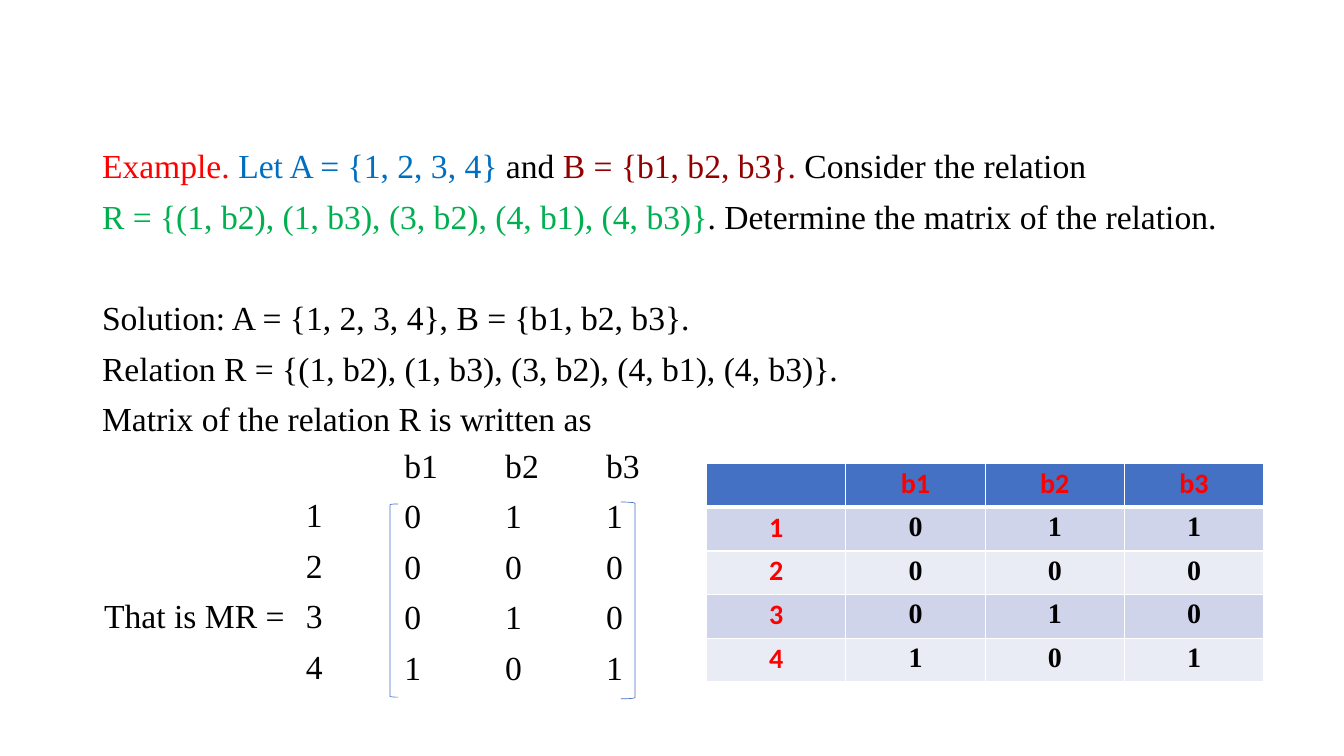
from lxml import etree
from pptx import Presentation
from pptx import util as u
from pptx.dml.color import RGBColor
from pptx.enum import shapes, text
from pptx.oxml import ns

BLACK = RGBColor(0, 0, 0)
WHITE = RGBColor(0xFF, 0xFF, 0xFF)
RED = RGBColor(0xFF, 0, 0)
BLUE = RGBColor(0, 0x6F, 0xC0)
MAROON = RGBColor(0x92, 0, 0)
GREEN = RGBColor(0, 0xAF, 0x50)
HEADER = RGBColor(0x44, 0x71, 0xC4)
BANDS = (RGBColor(0xCF, 0xD4, 0xEA), RGBColor(0xE9, 0xEB, 0xF5))

COLUMNS = ["b1", "b2", "b3"]
MATRIX = [[0, 1, 1], [0, 0, 0], [0, 1, 0], [1, 0, 1]]


class SlideBuilder:
    serif, sans = "Times New Roman", "Calibri"
    body_size, cell_size = 24, 20

    def __init__(self, slide):
        self.slide = slide

    def style(self, run, size, color=BLACK, name=serif, bold=False):
        run.font.size = u.Pt(size)
        run.font.name = name
        run.font.bold = bold
        run.font.color.rgb = color

    def text_box(self, left, top, width, height, lines, gap=7.2,
                 align=text.PP_ALIGN.LEFT, indent=0.9, tab=None):
        """Each line is a list of (words, colour); gap is points between lines."""
        shape = self.slide.shapes.add_textbox(
            u.Pt(left), u.Pt(top), u.Pt(width), u.Pt(height))
        frame = shape.text_frame
        frame.word_wrap = True
        frame.margin_left = u.Pt(indent)
        frame.margin_top = frame.margin_right = frame.margin_bottom = 0
        for index, line in enumerate(lines):
            paragraph = frame.add_paragraph() if index else frame.paragraphs[0]
            paragraph.alignment = align
            if index:
                paragraph.space_before = u.Pt(gap)
            if tab and "\t" in line[0][0]:
                stops = etree.SubElement(
                    paragraph._p.get_or_add_pPr(), ns.qn("a:tabLst"))
                etree.SubElement(stops, ns.qn("a:tab"),
                                 pos=str(u.Pt(tab)), algn="l")
            for words, color in line:
                run = paragraph.add_run()
                run.text = words
                self.style(run, self.body_size, color)
        return frame

    def bracket(self, kind, left, top, width, height):
        shape = self.slide.shapes.add_shape(
            kind, u.Pt(left), u.Pt(top), u.Pt(width), u.Pt(height))
        shape.shadow.inherit = False
        shape.fill.background()
        shape.line.color.rgb = HEADER
        shape.line.width = u.Pt(0.48)

    def border(self, cell, side, width):
        line = etree.SubElement(cell._tc.get_or_add_tcPr(),
                                ns.qn(f"a:ln{side}"), w=str(u.Pt(width)))
        fill = etree.SubElement(line, ns.qn("a:solidFill"))
        etree.SubElement(fill, ns.qn("a:srgbClr"), val=str(WHITE))

    def table(self, left, top, column_width, row_height, rows):
        count = len(rows[0])
        table = self.slide.shapes.add_table(
            len(rows), count, u.Pt(left), u.Pt(top),
            u.Pt(column_width * count), u.Pt(row_height * len(rows))).table
        for column in table.columns:
            column.width = u.Pt(column_width)
        for r, row in enumerate(rows):
            table.rows[r].height = u.Pt(row_height)
            for c, value in enumerate(row):
                self.cell(table.cell(r, c), r, c, value)

    def cell(self, cell, r, c, value):
        label = r == 0 or c == 0
        cell.margin_left = cell.margin_right = cell.margin_bottom = 0
        cell.margin_top = u.Pt(2.2 if label else 2.9)
        for side, width in (("L", 1), ("R", 1), ("T", 3 if r == 1 else 1),
                            ("B", 3 if r == 0 else 1)):
            self.border(cell, side, width)
        cell.fill.solid()
        cell.fill.fore_color.rgb = BANDS[(r - 1) % 2] if r else HEADER
        cell.text_frame.text = str(value)
        paragraph = cell.text_frame.paragraphs[0]
        paragraph.alignment = text.PP_ALIGN.CENTER
        for run in paragraph.runs:
            self.style(run, self.cell_size, RED if label else BLACK,
                       self.sans if label else self.serif, bold=True)


def main():
    presentation = Presentation()
    presentation.slide_width, presentation.slide_height = u.Pt(960), u.Pt(540)
    slide = presentation.slides.add_slide(presentation.slide_layouts[6])
    builder = SlideBuilder(slide)

    # Problem and solution
    statement = builder.text_box(72, 103.6, 798, 210, [
        [("Example. ", RED), ("Let A = {1, 2, 3, 4} ", BLUE), ("and ", BLACK),
         ("B = {b1, b2, b3}. ", MAROON), ("Consider the relation", BLACK)],
        [("R = {(1, b2), (1, b3), (3, b2), (4, b1), (4, b3)}", GREEN),
         (". Determine the matrix of the relation.", BLACK)],
        [("Solution: A = {1, 2, 3, 4}, B = {b1, b2, b3}.", BLACK)],
        [("Relation R = {(1, b2), (1, b3), (3, b2), (4, b1), (4, b3)}.", BLACK)],
        [("Matrix of the relation R is written as", BLACK)],
    ])
    statement.paragraphs[2].space_before = u.Pt(44)

    # Matrix with its row and column labels
    for index, name in enumerate(COLUMNS):
        entries = [name] + [row[index] for row in MATRIX]
        builder.text_box(288 + 72 * index, 317.8, 30, 176,
                         [[(str(entry), BLACK)] for entry in entries])
    labels = ["1", "2", "That is MR =\t3", "4"]
    builder.text_box(72, 353, 158.4, 140, [[(label, BLACK)] for label in labels],
                     align=text.PP_ALIGN.RIGHT, indent=0, tab=144)
    builder.bracket(shapes.MSO_SHAPE.LEFT_BRACKET, 278.6, 360, 5.8, 138)
    builder.bracket(shapes.MSO_SHAPE.RIGHT_BRACKET, 443.5, 358.6, 10, 140.6)

    # Table of the relation
    rows = [[""] + COLUMNS] + [[r] + row for r, row in enumerate(MATRIX, 1)]
    builder.table(504.7, 331.2, 99.5, 31.2, rows)

    presentation.save("out.pptx")


if __name__ == "__main__":
    main()
